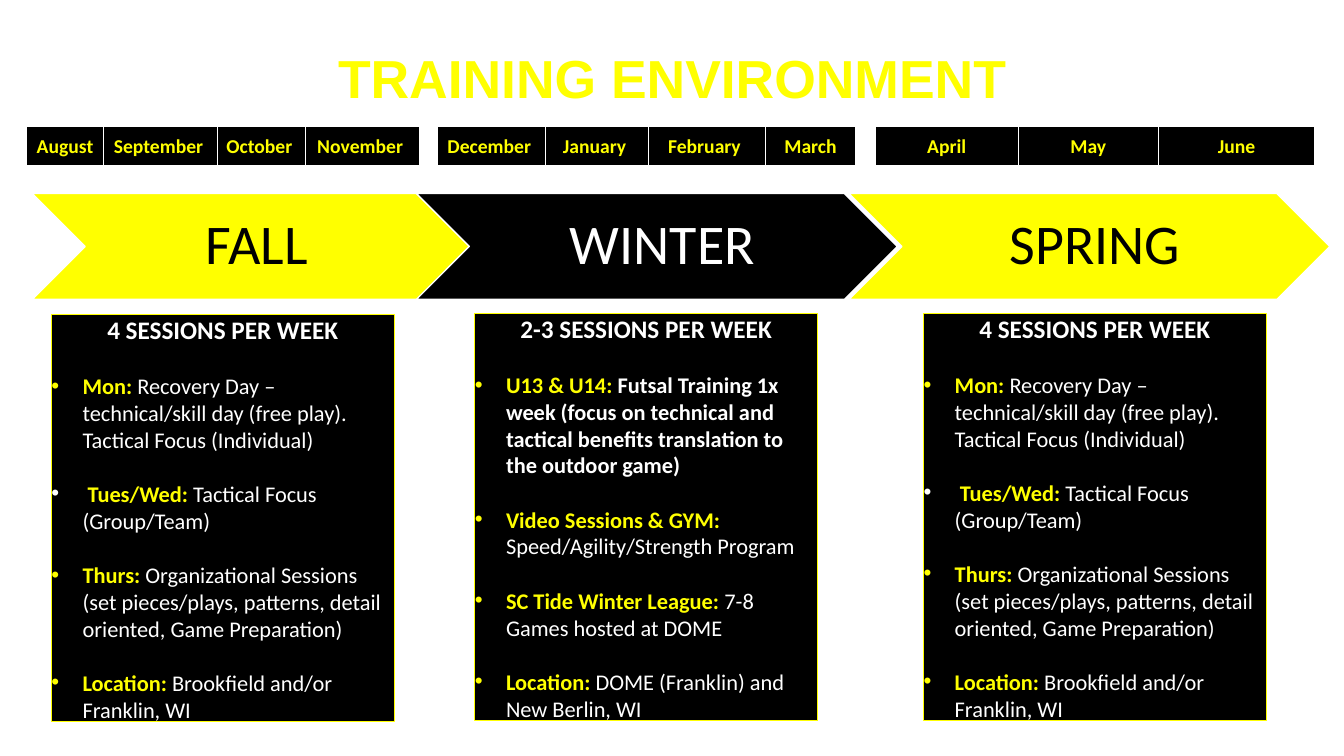
from lxml.etree import SubElement as Sub
from pptx import Presentation
from pptx.dml.color import RGBColor as Rgb
from pptx.enum.shapes import MSO_SHAPE as Shape
from pptx.enum.text import MSO_ANCHOR as Anchor, PP_ALIGN as Align
from pptx.oxml.ns import qn
from pptx.util import Inches, Pt

HUES = {"gold": "FFFF00", "black": "000000", "white": "FFFFFF"}
FLUSH = {"margin_left": 0, "margin_top": 0, "margin_right": 0, "margin_bottom": 0}
EDGES = {"lnL": 1, "lnR": 1, "lnT": 1, "lnB": 3}

MONTHS = [
    (0.26, {"August": 0.77, "September ": 1.13, "October ": 0.87, "November ": 1.13}),
    (4.34, {"December ": 1.07, "January ": 1.02, "February ": 1.16, "March": 0.9}),
    (8.68, {"April": 1.42, "May": 1.39, "June": 1.55}),
]
SEASONS = [
    ("FALL", 0.32, 4.34, "gold", "black"),
    ("WINTER", 4.13, 4.77, "black", "white"),
    ("SPRING", 8.42, 4.77, "gold", "black"),
]
OUTDOOR = [
    [("Mon: ", "gold", True),
     ("Recovery Day – technical/skill day (free play). Tactical Focus (Individual)",
      "white", False)],
    [(" ", "white", False), ("Tues/Wed: ", "gold", True),
     ("Tactical Focus (Group/Team)", "white", False)],
    [("Thurs: ", "gold", True),
     ("Organizational Sessions (set pieces/plays, patterns, detail oriented, "
      "Game Preparation)", "white", False)],
    [("Location: ", "gold", True), ("Brookfield and/or Franklin, WI", "white", False)],
]
INDOOR = [
    [("U13 & U14: ", "gold", True),
     ("Futsal Training 1x week (focus on technical and tactical benefits "
      "translation to the outdoor game)", "white", True)],
    [("Video Sessions & GYM: ", "gold", True),
     ("Speed/Agility/Strength Program", "white", False)],
    [("SC Tide Winter League: ", "gold", True),
     ("7-8 Games hosted at DOME", "white", False)],
    [("Location: ", "gold", True),
     ("DOME (Franklin) and New Berlin, WI", "white", False)],
]
PLANS = [
    (0.51, 3.12, "4 SESSIONS PER WEEK", OUTDOOR),
    (4.71, 3.11, "2-3 SESSIONS PER WEEK", INDOOR),
    (9.16, 3.11, "4 SESSIONS PER WEEK", OUTDOOR),
]


def hue(name):
    """Return the named colour."""
    return Rgb.from_string(HUES[name])


def style(item, look):
    """Set each format value on an object."""
    for key, value in look.items():
        setattr(item, key, value)


def write(para, text, size, tint, bold=False, face="Calibri"):
    """Add a run of text to a paragraph."""
    run = para.add_run()
    run.text = text
    style(run.font, {"size": Pt(size), "bold": bold, "name": face})
    run.font.color.rgb = hue(tint)


def add_title(slide):
    """Add the slide title."""
    box = slide.shapes.add_textbox(Inches(0.71), 0, Inches(11.91), Inches(1.14))
    frame = box.text_frame
    style(frame, {"word_wrap": True, "vertical_anchor": Anchor.BOTTOM})
    para = frame.paragraphs[0]
    style(para, {"alignment": Align.CENTER, "line_spacing": 0.9})
    write(para, "TRAINING ENVIRONMENT", 38.2, "gold", True, "Arial")


def add_shape(slide, kind, place, fill, line, weight):
    """Add a flat shape and return its text frame."""
    shape = slide.shapes.add_shape(kind, *map(Inches, place))
    shape.shadow.inherit = False
    shape.fill.solid()
    shape.fill.fore_color.rgb = hue(fill)
    shape.line.color.rgb = hue(line)
    shape.line.width = Pt(weight)
    return shape.text_frame


def add_season(slide, name, left, width, fill, tint):
    """Add a season chevron."""
    frame = add_shape(slide, Shape.CHEVRON, (left, 1.92, width, 1.05), fill, "white", 1)
    style(frame, {"margin_left": Inches(0.17), "margin_top": Inches(0.06),
                  "margin_right": Inches(0.06), "margin_bottom": Inches(0.06),
                  "word_wrap": True, "vertical_anchor": Anchor.MIDDLE})
    para = frame.paragraphs[0]
    style(para, {"alignment": Align.CENTER, "line_spacing": 0.9})
    write(para, name, 40, tint)


def add_edges(cell):
    """Draw white borders round a cell."""
    props = cell._tc.get_or_add_tcPr()
    for tag, weight in EDGES.items():
        edge = Sub(props, qn(f"a:{tag}"), w=str(Pt(weight)))
        Sub(Sub(edge, qn("a:solidFill")), qn("a:srgbClr"), val=HUES["white"])


def add_months(slide, left, months):
    """Add a one-row table of months."""
    place = (left, 1.25, sum(months.values()), 0.41)
    table = slide.shapes.add_table(1, len(months), *map(Inches, place)).table
    table.horz_banding = False
    for col, (month, width) in enumerate(months.items()):
        table.columns[col].width = Inches(width)
        cell = table.cell(0, col)
        style(cell, {"vertical_anchor": Anchor.MIDDLE,
                     "margin_left": Inches(0.05), "margin_right": Inches(0.05)})
        add_edges(cell)
        cell.fill.solid()
        cell.fill.fore_color.rgb = hue("black")
        para = cell.text_frame.paragraphs[0]
        para.alignment = Align.CENTER
        write(para, month, 14, "gold", True)


def add_point(frame, runs):
    """Add a bulleted paragraph."""
    para = frame.add_paragraph()
    props = para._p.get_or_add_pPr()
    props.set("marL", str(Inches(0.31)))
    props.set("indent", str(-Inches(0.31)))
    Sub(props, qn("a:buFont"), typeface="Arial")
    Sub(props, qn("a:buChar"), char="•")
    style(para, {"alignment": Align.LEFT, "space_before": Pt(19.5)})
    for text, tint, bold in runs:
        write(para, text, 16, tint, bold)


def add_plan(slide, left, top, head, points):
    """Add a panel with a weekly plan."""
    place = (left, top, 3.4, 4.04)
    frame = add_shape(slide, Shape.RECTANGLE, place, "black", "gold", 0.75)
    style(frame, {**FLUSH, "word_wrap": True, "vertical_anchor": Anchor.TOP})
    para = frame.paragraphs[0]
    para.alignment = Align.CENTER
    write(para, head, 18, "white", True)
    for runs in points:
        add_point(frame, runs)


def main():
    """Build and save the slide."""
    deck = Presentation()
    style(deck, {"slide_width": Inches(13.33), "slide_height": Inches(7.5)})
    slide = deck.slides.add_slide(deck.slide_layouts[6])
    add_title(slide)
    for season in SEASONS:
        add_season(slide, *season)
    for group in MONTHS:
        add_months(slide, *group)
    for plan in PLANS:
        add_plan(slide, *plan)
    deck.save("out.pptx")


if __name__ == "__main__":
    main()
